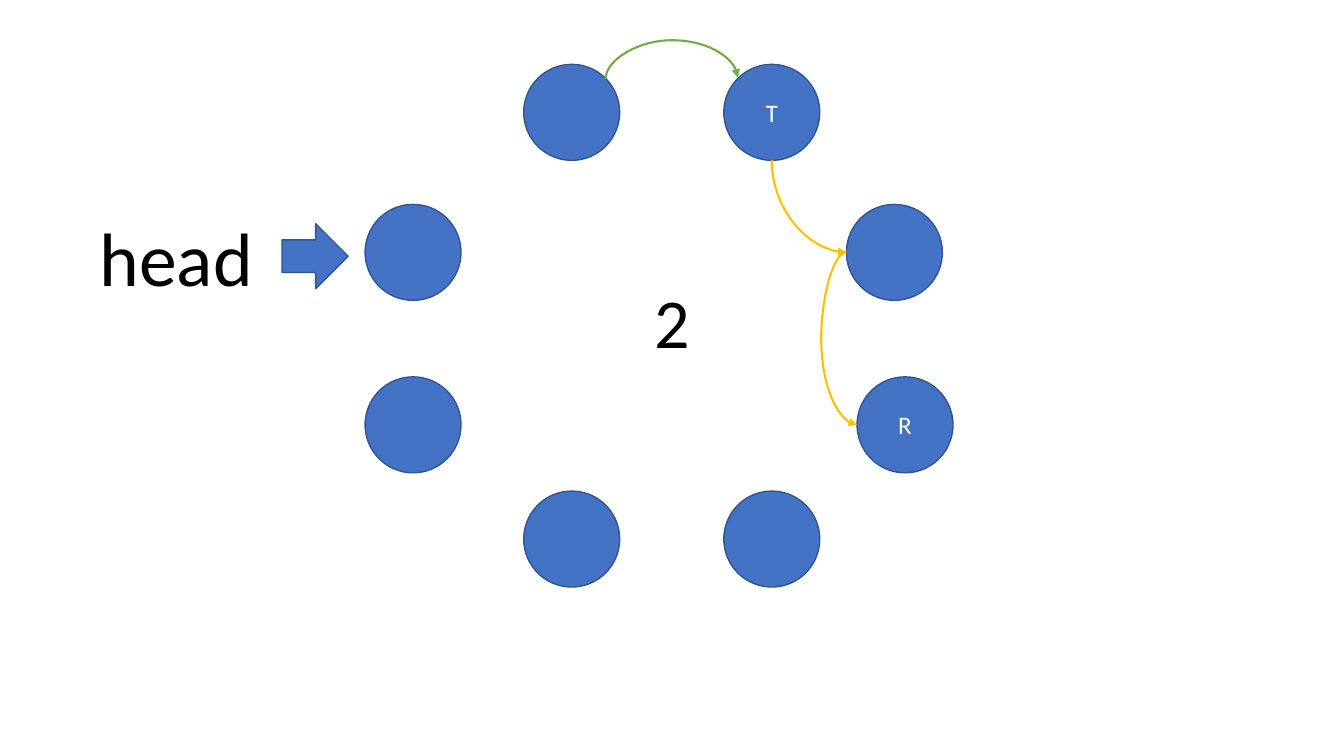
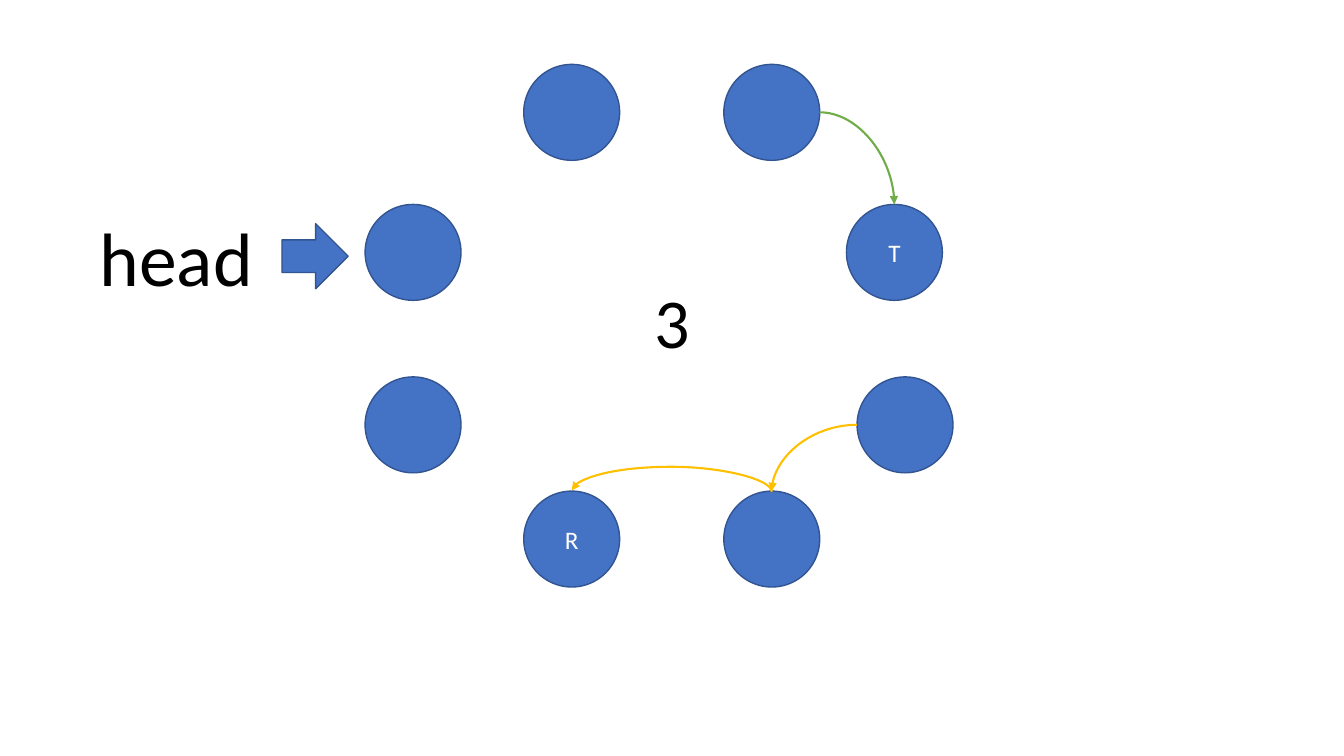
import math
import lxml.etree
import pptx
import pptx.dml.color
import pptx.enum.shapes
import pptx.enum.text
import pptx.oxml.ns
import pptx.util

Pt = pptx.util.Pt
qn = pptx.oxml.ns.qn
MSO_SHAPE = pptx.enum.shapes.MSO_SHAPE
FONT = "Calibri"
BLUE, OUTLINE, AMBER, GREEN = "4472C4", "325491", "FFC000", "70AD47"
WHITE, BLACK = "FFFFFF", "000000"
DIAMETER = 68.5
TOP, TOP_LEFT, LEFT, BOTTOM, RIGHT, TOP_RIGHT = 0, 1, 2, 4, 6, 7
NODES = {
    "lower left": (0, 223.2),
    "bottom left": (113.3, 304.8),
    "upper left": (0, 100),
    "top left": (113.3, 0),
    "top right": (256.2, 0),
    "lower right": (351.4, 223.2),
    "upper right": (343.8, 100),
    "bottom right": (256.2, 304.8),
}
STEPS = [
    ("2", {"top right": "T", "lower right": "R"}, [
        ("top right", BOTTOM, "upper right", LEFT, AMBER, 270, "H", None),
        ("upper right", LEFT, "lower right", LEFT, AMBER, 180, "HV", -18),
        ("top left", TOP_RIGHT, "top right", TOP_LEFT, GREEN, 90, "HV", 28),
    ]),
    ("3", {"upper right": "T", "bottom left": "R"}, [
        ("lower right", LEFT, "bottom right", TOP, AMBER, 180, "V", None),
        ("bottom right", TOP, "bottom left", TOP, AMBER, 270, "V", 18),
        ("top right", RIGHT, "upper right", TOP, GREEN, 0, "", None),
    ]),
]


def rgb(value):
    return pptx.dml.color.RGBColor.from_string(value)


def add_run(p, text, size, color):
    r = p.add_run()
    r.text = text
    r.font.name = FONT
    r.font.size = Pt(size)
    r.font.color.rgb = rgb(color)


def add_blue_shape(slide, kind, x, y, w, h):
    sp = slide.shapes.add_shape(kind, Pt(x), Pt(y), Pt(w), Pt(h))
    sp.shadow.inherit = False
    sp.fill.solid()
    sp.fill.fore_color.rgb = rgb(BLUE)
    sp.line.color.rgb = rgb(OUTLINE)
    sp.line.width = Pt(1)
    return sp


def add_label(slide, text, size, x, y, w, h):
    tf = slide.shapes.add_textbox(Pt(x), Pt(y), Pt(w), Pt(h)).text_frame
    tf.word_wrap = True
    tf.auto_size = pptx.enum.text.MSO_AUTO_SIZE.SHAPE_TO_FIT_TEXT
    add_run(tf.paragraphs[0], text, size, BLACK)


def add_node(slide, x, y, letter):
    sp = add_blue_shape(slide, MSO_SHAPE.OVAL, x, y, DIAMETER, DIAMETER)
    if letter:
        tf = sp.text_frame
        tf.vertical_anchor = pptx.enum.text.MSO_ANCHOR.MIDDLE
        p = tf.paragraphs[0]
        p.alignment = pptx.enum.text.PP_ALIGN.CENTER
        add_run(p, letter, 18, WHITE)
    return sp


def site_point(sp, site):
    angle, radius = math.radians(45 * site), sp.width.pt / 2
    return (sp.left.pt + radius * (1 - math.sin(angle)),
            sp.top.pt + radius * (1 - math.cos(angle)))


def add_curve(slide, start, start_site, end, end_site, color, turn, flips, bulge):
    x1, y1 = site_point(start, start_site)
    x2, y2 = site_point(end, end_site)
    w, h = abs(x2 - x1), abs(y2 - y1)
    if turn % 180:
        w, h = h, w
    w = max(w, 1)
    x, y = (x1 + x2 - w) / 2, (y1 + y2 - h) / 2
    cxn = slide.shapes.add_connector(
        pptx.enum.shapes.MSO_CONNECTOR.CURVE, Pt(x), Pt(y), Pt(x + w), Pt(y + h))
    cxn.line.color.rgb = rgb(color)
    cxn.line.width = Pt(1.5)
    sub = lxml.etree.SubElement
    sub(cxn.line._get_or_add_ln(), qn("a:tailEnd"), type="triangle")
    sp_pr = cxn._element.spPr
    sub(sp_pr, qn("a:effectLst"))
    xfrm = sp_pr.find(qn("a:xfrm"))
    xfrm.set("rot", str(turn * 60000))
    for axis in flips:
        xfrm.set("flip" + axis, "1")
    geom = sp_pr.find(qn("a:prstGeom"))
    geom.set("prst", "curvedConnector2" if bulge is None else "curvedConnector3")
    if bulge is not None:
        guides = geom.find(qn("a:avLst"))
        if guides is None:
            guides = sub(geom, qn("a:avLst"))
        sub(guides, qn("a:gd"), name="adj1", fmla=f"val {round(bulge / w * 100000)}")
    ends = cxn._element.find(".//" + qn("p:cNvCxnSpPr"))
    for tag, sp, site in (("a:stCxn", start, start_site), ("a:endCxn", end, end_site)):
        sub(ends, qn(tag), id=str(sp.shape_id), idx=str(site))


def add_ring(slide, x, y, letters):
    return {name: add_node(slide, x + dx, y + dy, letters.get(name))
            for name, (dx, dy) in NODES.items()}


def add_head_pointer(slide, x, y):
    add_label(slide, "head", 54, x, y, 125.3, 72.7)
    add_blue_shape(slide, MSO_SHAPE.RIGHT_ARROW, x + 137.3, y + 12.9, 47.3, 46.5)


def add_step(prs, number, letters, curves):
    slide = prs.slides.add_slide(prs.slide_layouts[6])
    nodes = add_ring(slide, 260.8, 46, letters)
    add_head_pointer(slide, 64.1, 146.9)
    add_label(slide, number, 50, 460.1, 195.1, 39.6, 68.4)
    for start, start_site, end, end_site, *style in curves:
        add_curve(slide, nodes[start], start_site, nodes[end], end_site, *style)


def main():
    prs = pptx.Presentation()
    prs.slide_width, prs.slide_height = Pt(960), Pt(540)
    for step in STEPS:
        add_step(prs, *step)
    prs.save("out.pptx")


if __name__ == "__main__":
    main()
